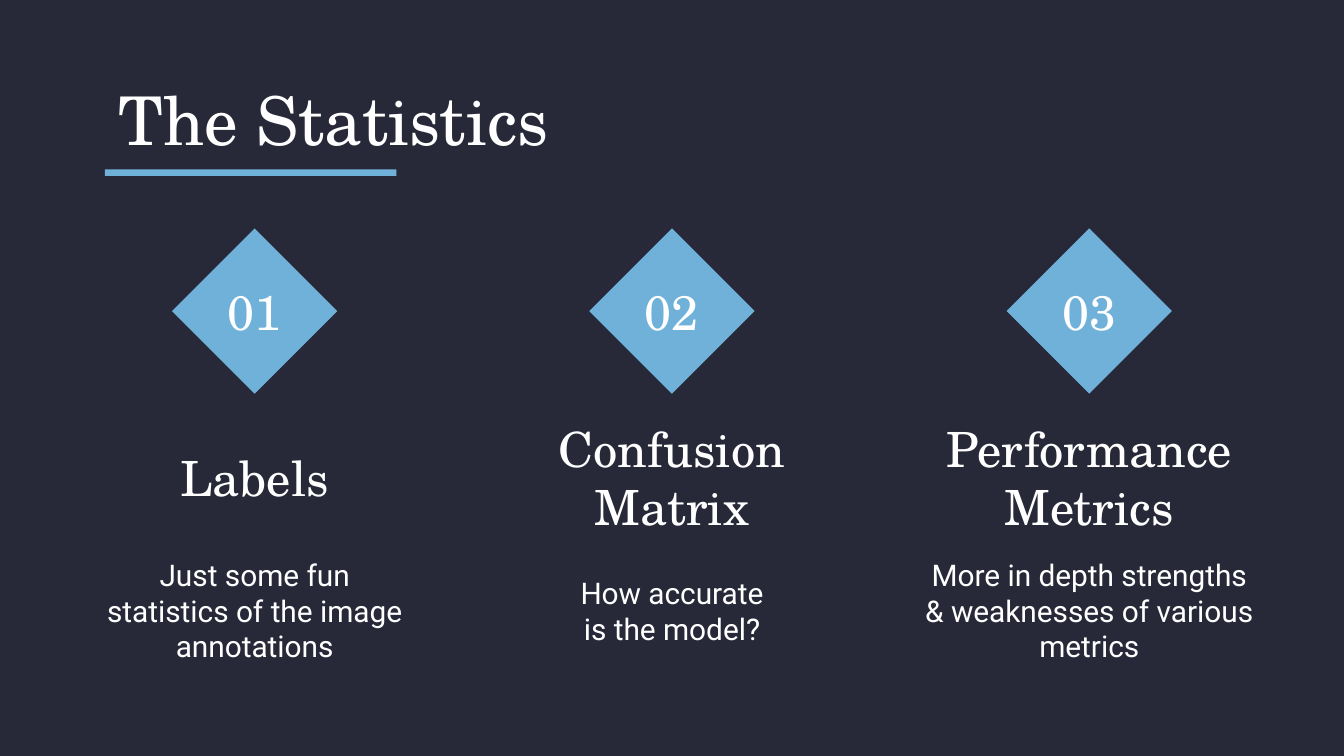
import pptx
import pptx.dml.color
import pptx.enum.shapes
import pptx.enum.text
import pptx.util

Inches = pptx.util.Inches
PP_ALIGN = pptx.enum.text.PP_ALIGN
SHAPES = pptx.enum.shapes.MSO_SHAPE
SERIF, SANS = "TeX Gyre Schola", "Roboto"
NAVY, BLUE, WHITE = "282938", "70B1DA", "FFFFFF"


def paint(fill, color):
    fill.solid()
    fill.fore_color.rgb = pptx.dml.color.RGBColor.from_string(color)


def write(shape, text, font_name, size, alignment=PP_ALIGN.CENTER):
    frame = shape.text_frame
    frame.word_wrap = True
    frame.auto_size = pptx.enum.text.MSO_AUTO_SIZE.NONE
    frame.vertical_anchor = pptx.enum.text.MSO_ANCHOR.MIDDLE
    frame.margin_left = frame.margin_right = Inches(0.1)
    frame.margin_top = frame.margin_bottom = Inches(0.1)
    paragraph = frame.paragraphs[0]
    paragraph.alignment = alignment
    run = paragraph.add_run()
    run.text = text
    run.font.name = font_name
    run.font.size = pptx.util.Pt(size)
    paint(run.font.fill, WHITE)


slide_width = 10
presentation = pptx.Presentation()
presentation.slide_width = Inches(slide_width)
presentation.slide_height = Inches(slide_width * 9 / 16)
slide = presentation.slides.add_slide(presentation.slide_layouts[5])
paint(slide.background.fill, NAVY)

margin = 0.78
title = slide.shapes.title
title.left, title.top = Inches(margin), Inches(0.59)
title.width, title.height = Inches(slide_width - 2 * margin), Inches(0.59)
write(title, "The Statistics", SERIF, 36, PP_ALIGN.LEFT)

underline = slide.shapes.add_shape(
    SHAPES.RECTANGLE, Inches(margin), Inches(1.26), Inches(2.17), Inches(0.05)
)
underline.shadow.inherit = False
paint(underline.fill, BLUE)
underline.line.fill.background()

topics = [
    ("Labels", 1.62, "Just some fun statistics of the image annotations", 2.48),
    ("Confusion Matrix", 2.05, "How accurate is the model?", 1.62),
    ("Performance Metrics", 2.42, "More in depth strengths & weaknesses of various metrics", 2.65),
]
column_pitch, diamond_size = 3.105, 1.23

for index, (heading, heading_width, description, description_width) in enumerate(topics):
    center = slide_width / 2 + (index - 1) * column_pitch

    diamond = slide.shapes.add_shape(
        SHAPES.DIAMOND,
        Inches(center - diamond_size / 2),
        Inches(1.7),
        Inches(diamond_size),
        Inches(diamond_size),
    )
    diamond.shadow.inherit = False
    paint(diamond.fill, BLUE)
    diamond.line.fill.background()
    write(diamond, f"{index + 1:02}", SERIF, 26)

    for text, width, top, height, font_name, size in (
        (heading, heading_width, 3.37, 0.36, SERIF, 26),
        (description, description_width, 4.15, 0.78, SANS, 16),
    ):
        box = slide.shapes.add_textbox(
            Inches(center - width / 2), Inches(top), Inches(width), Inches(height)
        )
        write(box, text, font_name, size)

presentation.save("out.pptx")
